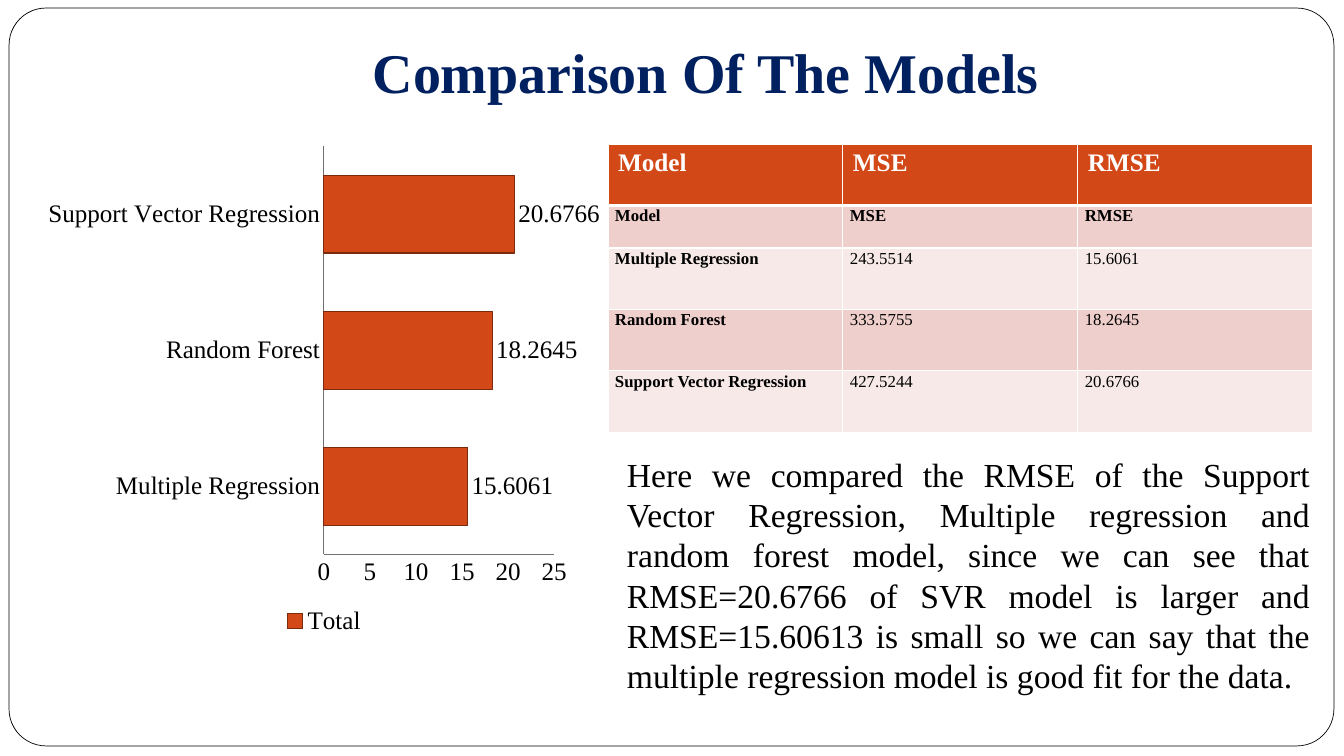
from lxml.etree import SubElement
from pptx import Presentation
from pptx.chart.data import CategoryChartData
from pptx.dml.color import RGBColor
from pptx.enum.chart import XL_CHART_TYPE, XL_LABEL_POSITION, XL_LEGEND_POSITION, XL_TICK_MARK
from pptx.enum.shapes import MSO_SHAPE
from pptx.enum.text import MSO_ANCHOR, PP_ALIGN
from pptx.oxml import parse_xml
from pptx.oxml.ns import nsdecls, qn
from pptx.util import Inches, Pt

# Content
TITLE = "Comparison Of The Models"
HEADINGS = ("Model", "MSE", "RMSE")
RESULTS = [
    ("Multiple Regression", 243.5514, 15.6061),
    ("Random Forest", 333.5755, 18.2645),
    ("Support Vector Regression", 427.5244, 20.6766),
]
CONCLUSION = (
    "Here we compared the RMSE of the Support Vector Regression, Multiple regression "
    "and random forest model, since we can see that RMSE=20.6766 of SVR model is larger "
    "and RMSE=15.60613 is small so we can say that the multiple regression model is good "
    "fit for the data."
)

# Style and geometry, in inches
FONT = "Times New Roman"
ORANGE, NAVY, BLACK, WHITE = "D34817", "002060", "000000", "FFFFFF"
BANDS = ("EFCFCC", "F7E9E8")
WIDTH, HEIGHT = 13.33, 7.5
FRAME_BOX = (0.09, 0.08, 13.14, 7.32)
TITLE_BOX = (WIDTH * 0.1, 0.3, WIDTH * 0.85, 0.84)
CHART_BOX = (0.48, 1.35, 5.47, 5)
TABLE_BOX = (6.03, 1.43, 6.99, 2.86)
CONCLUSION_BOX = (6.12, 4.44, 6.97, 2.52)
ROW_HEIGHTS = (0.61, 0.42, 0.61, 0.61, 0.61)
PLOT_SHARES = {"x": 0.5, "y": 0.02, "w": 0.42, "h": 0.81}


def color(code):
    return RGBColor.from_string(code)


def inches(box):
    return [Inches(length) for length in box]


def set_fill(part, code):
    part.fill.solid()
    part.fill.fore_color.rgb = color(code)


def set_line(line, code, width):
    line.color.rgb = color(code)
    line.width = Pt(width)


def format_font(font, size, code=BLACK, bold=False):
    font.name, font.size, font.bold = FONT, Pt(size), bold
    font.color.rgb = color(code)


def write(frame, text, size, code=BLACK, bold=False, align=None, spacing=None):
    paragraph = frame.paragraphs[0]
    paragraph.alignment, paragraph.line_spacing = align, spacing
    run = paragraph.add_run()
    run.text = text
    format_font(run.font, size, code, bold)


def set_borders(cell, **widths):
    properties = cell._tc.get_or_add_tcPr()
    for index, side in enumerate("LRTB"):
        border = parse_xml(
            f'<a:ln{side} {nsdecls("a")} w="{Pt(widths.get(side, 1))}"><a:solidFill>'
            f'<a:srgbClr val="{WHITE}"/></a:solidFill></a:ln{side}>'
        )
        properties.insert(index, border)


def add_frame_and_title(slide):
    title = slide.shapes.title
    title.left, title.top, title.width, title.height = inches(TITLE_BOX)
    frame = title.text_frame
    frame.word_wrap = True
    frame.vertical_anchor = MSO_ANCHOR.BOTTOM
    frame.margin_bottom = Inches(0.1)
    write(frame, TITLE, 40, NAVY, bold=True, align=PP_ALIGN.CENTER)

    border = slide.shapes.add_shape(MSO_SHAPE.ROUNDED_RECTANGLE, *inches(FRAME_BOX))
    border.adjustments[0] = 0.05
    border.shadow.inherit = False
    set_fill(border, WHITE)
    set_line(border.line, BLACK, 0.5)
    title.element.addprevious(border.element)  # the frame lies behind the title


def add_results_table(slide):
    rows = [HEADINGS, HEADINGS]
    rows += [(name, f"{mse:.4f}", f"{rmse:.4f}") for name, mse, rmse in RESULTS]
    table = slide.shapes.add_table(len(rows), len(HEADINGS), *inches(TABLE_BOX)).table
    for column in table.columns:
        column.width = Inches(TABLE_BOX[2] / len(HEADINGS))
    for row_index, values in enumerate(rows):
        table.rows[row_index].height = Inches(ROW_HEIGHTS[row_index])
        for column_index, value in enumerate(values):
            cell = table.cell(row_index, column_index)
            if row_index == 0:
                set_fill(cell, ORANGE)
                write(cell.text_frame, value, 18, WHITE, bold=True)
                set_borders(cell, B=3)
                continue
            set_fill(cell, BANDS[(row_index - 1) % 2])
            cell.margin_left = cell.margin_right = Inches(0.07)
            cell.margin_top = cell.margin_bottom = 0
            bold = row_index == 1 or column_index == 0
            write(cell.text_frame, value, 12, bold=bold, align=PP_ALIGN.JUSTIFY, spacing=1.07)
            set_borders(cell, T=3 if row_index == 1 else 1)


def add_rmse_chart(slide):
    data = CategoryChartData()
    data.categories = [name for name, _, _ in RESULTS]
    data.add_series("Total", [rmse for _, _, rmse in RESULTS])
    chart = slide.shapes.add_chart(XL_CHART_TYPE.BAR_CLUSTERED, *inches(CHART_BOX), data).chart
    format_font(chart.font, 18)
    chart.has_title = False
    chart.has_legend = True
    chart.legend.position = XL_LEGEND_POSITION.BOTTOM
    chart.legend.include_in_layout = False

    # Axes
    for axis in (chart.category_axis, chart.value_axis):
        axis.major_tick_mark = axis.minor_tick_mark = XL_TICK_MARK.NONE
        axis.has_major_gridlines = False
        set_line(axis.format.line, "707070", 0.75)
    value_axis = chart.value_axis
    value_axis.minimum_scale, value_axis.maximum_scale, value_axis.major_unit = 0, 25, 5
    value_axis.tick_labels.number_format = "0"
    value_axis.tick_labels.number_format_is_linked = False

    # Bars and their values
    plot = chart.plots[0]
    plot.gap_width = 75
    plot.vary_by_categories = False
    bars = plot.series[0]
    set_fill(bars.format, ORANGE)
    set_line(bars.format.line, "7A2A0D", 0.75)
    labels = bars.data_labels
    labels.show_value = True
    labels.number_format, labels.number_format_is_linked = "0.0000", False
    labels.position = XL_LABEL_POSITION.OUTSIDE_END
    format_font(labels.font, 18)

    # Inner plot area as shares of the chart
    plot_area = chart.element.find(".//" + qn("c:plotArea"))
    for old_layout in plot_area.findall(qn("c:layout")):
        plot_area.remove(old_layout)
    layout = parse_xml(f'<c:layout {nsdecls("c")}><c:manualLayout/></c:layout>')
    settings = {"layoutTarget": "inner", "xMode": "edge", "yMode": "edge", **PLOT_SHARES}
    for name, value in settings.items():
        SubElement(layout[0], qn("c:" + name)).set("val", str(value))
    plot_area.insert(0, layout)


def add_conclusion(slide):
    frame = slide.shapes.add_textbox(*inches(CONCLUSION_BOX)).text_frame
    frame.word_wrap = True
    frame.vertical_anchor = MSO_ANCHOR.MIDDLE
    write(frame, CONCLUSION, 24, align=PP_ALIGN.JUSTIFY)


def main():
    presentation = Presentation()
    presentation.slide_width, presentation.slide_height = Inches(WIDTH), Inches(HEIGHT)
    slide = presentation.slides.add_slide(presentation.slide_layouts[5])
    add_frame_and_title(slide)
    add_results_table(slide)
    add_rmse_chart(slide)
    add_conclusion(slide)
    presentation.save("out.pptx")


if __name__ == "__main__":
    main()
